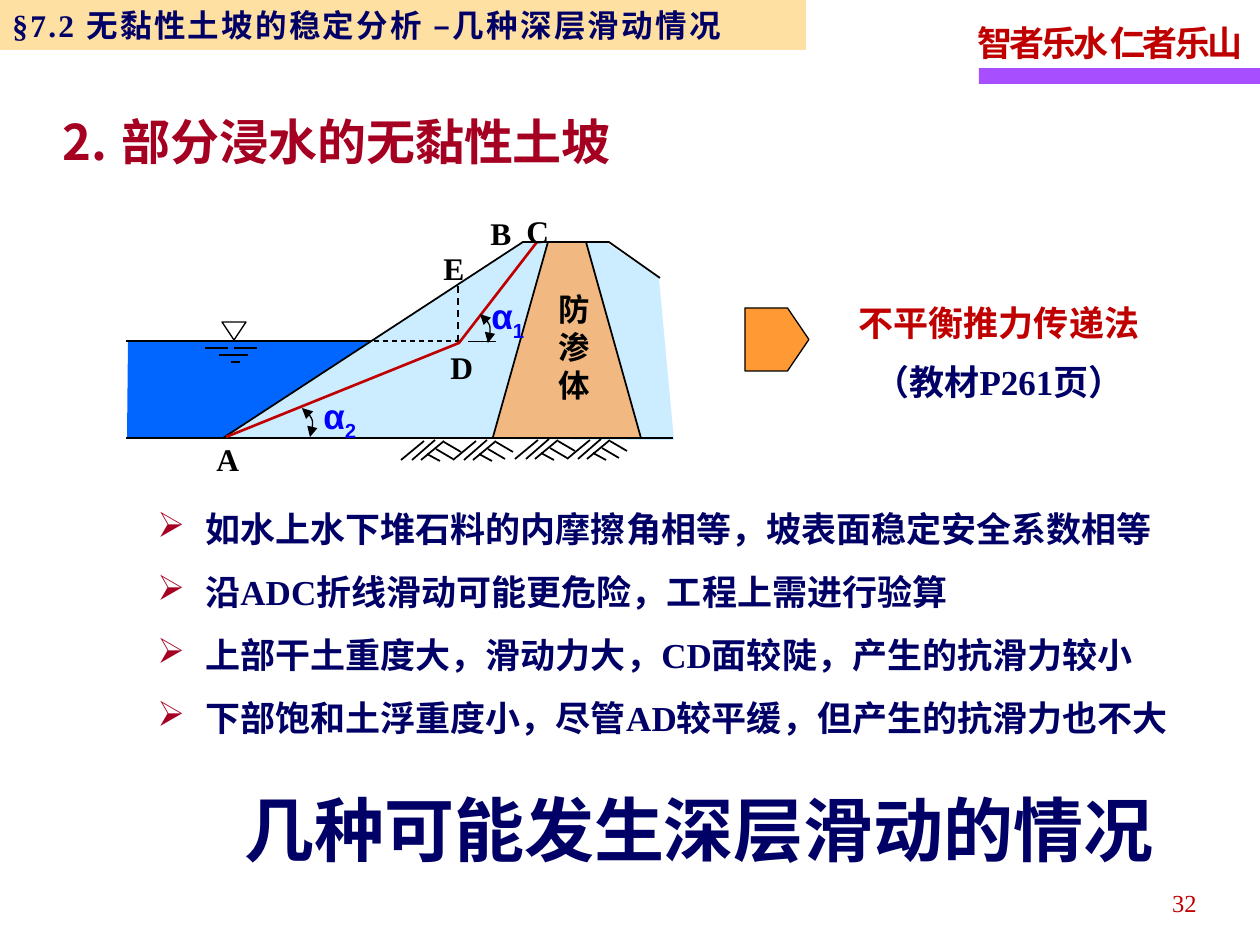
from dataclasses import dataclass

from lxml import etree
from pptx import Presentation
from pptx.dml.color import RGBColor
from pptx.enum import dml, shapes, text
from pptx.oxml.ns import qn
from pptx.util import Pt

PX = 914400 / 126  # EMU per px


@dataclass(frozen=True)
class Style:
    size: int
    color: str
    font: str = "Times New Roman"
    bold: bool = True
    tracking: float = 0


class Theme:
    cjk = "Noto Sans CJK SC"
    black, red, crimson, navy = "000000", "C00000", "A50021", "000066"
    purple, orange, bar = "A74FFF", "FF9933", "FFCC66"
    water, soil, core = "0066FF", "CCECFF", "F1B981"
    header = Style(18, navy, tracking=1.3)
    motto = Style(20, red, tracking=-1.7)
    heading = Style(28, crimson, cjk)
    banner = Style(40, navy, cjk)
    body = Style(20, navy)
    method = Style(20, red)
    point = Style(18, black)
    core_label = Style(18, black, cjk)
    angle = Style(20, "0000FF", "Arial")
    page = Style(14, red, bold=False)


def emu(*lengths):
    return [round(length * PX) for length in lengths]


def style_paragraph(paragraph, style):
    font = paragraph.font
    font.size, font.bold, font.name = Pt(style.size), style.bold, style.font
    font.color.rgb = RGBColor.from_string(style.color)
    defaults = paragraph._p.pPr.find(qn("a:defRPr"))
    etree.SubElement(defaults, qn("a:ea"), typeface=Theme.cjk)
    if style.tracking:
        defaults.set("spc", str(round(style.tracking * 100)))


def add_bullet(paragraph, hanging, tag, color=None, **attributes):
    props = paragraph._p.get_or_add_pPr()
    indent, = emu(hanging)
    props.set("marL", str(indent))
    props.set("indent", str(-indent))
    if color:
        holder = etree.SubElement(props, qn("a:buClr"))
        etree.SubElement(holder, qn("a:srgbClr"), val=color)
    etree.SubElement(props, qn(tag), **attributes)


def add_text(slide, box, lines, wrap=True, align=text.PP_ALIGN.LEFT, spacing=1.15,
             gap=3, anchor=text.MSO_ANCHOR.TOP, bullet=None):
    """Lines are (words, style) pairs, one paragraph each."""
    frame = slide.shapes.add_textbox(*emu(*box)).text_frame
    frame.word_wrap, frame.vertical_anchor = wrap, anchor
    for i, (words, style) in enumerate(lines):
        paragraph = frame.add_paragraph() if i else frame.paragraphs[0]
        paragraph.text, paragraph.alignment = words, align
        paragraph.line_spacing = spacing
        paragraph.space_before, paragraph.space_after = Pt(gap if i else 0), Pt(gap)
        if bullet:
            add_bullet(paragraph, 48, "a:buChar", Theme.crimson, char=bullet)
        style_paragraph(paragraph, style)
    return frame


def paint(shape, fill=None, line=None, width=1):
    shape.shadow.inherit = False
    if fill:
        shape.fill.solid()
        shape.fill.fore_color.rgb = RGBColor.from_string(fill)
    else:
        shape.fill.background()
    if line:
        shape.line.color.rgb = RGBColor.from_string(line)
        shape.line.width = Pt(width)
    else:
        shape.line.fill.background()
    return shape


def add_preset(slide, kind, box, **look):
    return paint(slide.shapes.add_shape(kind, *emu(*box)), **look)


def add_outline(slide, points, close=False, **look):
    builder = slide.shapes.build_freeform(*points[0], scale=PX)
    builder.add_line_segments(points[1:], close=close)
    return paint(builder.convert_to_shape(), **look)


def add_line(slide, x1, y1, x2, y2, width=1, dashed=False):
    line = slide.shapes.add_connector(shapes.MSO_CONNECTOR.STRAIGHT, *emu(x1, y1, x2, y2))
    line.line.color.rgb = RGBColor.from_string(Theme.black)
    line.line.width = Pt(width)
    if dashed:
        line.line.dash_style = dml.MSO_LINE.DASH
    etree.SubElement(line._element.spPr, qn("a:effectLst"))


def add_angle(slide, curve, label_box, index):
    # Turn the control polygon into one Bezier curve with two arrowheads
    arc = add_outline(slide, curve, line=Theme.black, width=0.75)
    path = arc._element.spPr.find(".//" + qn("a:path"))
    bezier = etree.SubElement(path, qn("a:cubicBezTo"))
    for segment in path.findall(qn("a:lnTo")):
        bezier.append(segment[0])
        path.remove(segment)
    for end in ("a:headEnd", "a:tailEnd"):
        etree.SubElement(arc.line._get_or_add_ln(), qn(end), type="triangle")
    frame = add_text(slide, label_box, [("α", Theme.angle)])
    subscript = frame.paragraphs[0].add_run()
    subscript.text = index
    subscript._r.get_or_add_rPr().set("baseline", "-25000")


def add_hatching(slide, x, y):
    for x1, y1, x2, y2 in [(23, 1, 0, 20), (34, 0, 11, 20), (43, 1, 20, 20),
                           (35, 9, 52, 19), (26, 14, 39, 21), (43, 2, 60, 12)]:
        add_line(slide, x + x1, y + y1, x + x2, y + y2)


def add_frame(slide):
    # Top bar, motto, heading, banner and page number
    add_preset(slide, shapes.MSO_SHAPE.RECTANGLE, (979, 68, 281, 16), fill=Theme.purple)
    add_text(slide, (965, 9, 297, 62), [("智者乐水 仁者乐山", Theme.motto)], wrap=False)
    bar = add_preset(slide, shapes.MSO_SHAPE.RECTANGLE, (0, 0, 806, 50), fill=Theme.bar)
    color = bar._element.spPr.find(".//" + qn("a:srgbClr"))
    etree.SubElement(color, qn("a:alpha"), val="60000")
    header = bar.text_frame.paragraphs[0]
    header.text, header.alignment = "§7.2 无黏性土坡的稳定分析 –几种深层滑动情况", text.PP_ALIGN.LEFT
    style_paragraph(header, Theme.header)

    title = slide.shapes.title
    title.left, title.top, title.width, title.height = emu(50, 105, 659, 72)
    frame = title.text_frame
    frame.text, frame.word_wrap = "部分浸水的无黏性土坡", True
    frame.auto_size, frame.vertical_anchor = text.MSO_AUTO_SIZE.NONE, text.MSO_ANCHOR.MIDDLE
    heading = frame.paragraphs[0]
    heading.alignment = text.PP_ALIGN.LEFT
    add_bullet(heading, 59, "a:buAutoNum", type="arabicPeriod", startAt="2")
    style_paragraph(heading, Theme.heading)

    add_text(slide, (227, 780, 944, 97), [("几种可能发生深层滑动的情况", Theme.banner)],
             align=text.PP_ALIGN.CENTER, spacing=1, gap=0, anchor=text.MSO_ANCHOR.MIDDLE)
    add_text(slide, (915, 877, 294, 50), [("32", Theme.page)], align=text.PP_ALIGN.RIGHT)


def add_dam(slide):
    # Water, soil and core areas
    add_outline(slide, [(127, 438), (128, 341), (372, 341), (222, 438)], True, fill=Theme.water)
    add_outline(slide, [(223, 438), (674, 440), (659, 278), (607, 243), (524, 242)],
                True, fill=Theme.soil)
    add_outline(slide, [(493, 437), (547, 243), (587, 243), (641, 437)], True, fill=Theme.core)
    # Water level and its mark
    add_line(slide, 372, 341, 126, 341)
    mark = add_preset(slide, shapes.MSO_SHAPE.ISOSCELES_TRIANGLE, (222, 322, 24, 18),
                      line=Theme.black, width=0.75)
    mark.rotation = 180
    for x1, x2, y in [(205, 228, 348), (234, 257, 348), (219, 248, 355), (231, 240, 362)]:
        add_line(slide, x1, y, x2, y, 0.75)
    # Ground
    add_line(slide, 126, 438, 673, 438, 1.5)
    for x, y in [(401, 440), (453, 440), (515, 439), (567, 439)]:
        add_hatching(slide, x, y)
    # Core sides, slope outline and slip surface
    add_line(slide, 548, 242, 493, 437)
    add_line(slide, 586, 242, 641, 438)
    add_line(slide, 460, 341, 372, 341, 0.75, dashed=True)
    add_outline(slide, [(223, 438), (523, 242), (609, 242), (660, 278)], line=Theme.black)
    add_outline(slide, [(226, 437), (459, 343), (537, 242)], line=Theme.red, width=1.5)
    add_line(slide, 458, 286, 458, 341, 1, dashed=True)
    add_line(slide, 468, 341, 496, 341, 0.5)
    # Angles
    add_angle(slide, [(302, 408), (312, 413), (315, 426), (310, 437)], (311, 381, 66, 62), "2")
    add_angle(slide, [(480, 314), (488, 318), (493, 330), (488, 343)], (479, 281, 66, 57), "1")
    # Labels
    add_text(slide, (546, 284, 58, 127), [(word, Theme.core_label) for word in "防渗体"],
             wrap=False, spacing=1, gap=0)
    for name, x, y in [("A", 204, 428), ("B", 478, 202), ("C", 514, 200),
                       ("D", 438, 336), ("E", 431, 237)]:
        add_text(slide, (x, y, 48, 55), [(name, Theme.point)], wrap=False)


def add_conclusions(slide):
    arrow = add_preset(slide, shapes.MSO_SHAPE.PENTAGON, (745, 308, 64, 63),
                       fill=Theme.orange, line=Theme.black, width=0.75)
    arrow.adjustments[0] = 0.34
    add_text(slide, (844, 289, 310, 123),
             [("不平衡推力传递法", Theme.method), ("（教材P261页）", Theme.body)],
             wrap=False, align=text.PP_ALIGN.CENTER)
    findings = ["如水上水下堆石料的内摩擦角相等，坡表面稳定安全系数相等",
                "沿ADC折线滑动可能更危险，工程上需进行验算",
                "上部干土重度大，滑动力大，CD面较陡，产生的抗滑力较小",
                "下部饱和土浮重度小，尽管AD较平缓，但产生的抗滑力也不大"]
    add_text(slide, (145, 491, 1061, 257), [(words, Theme.body) for words in findings],
             spacing=1.25, bullet="➢")


def main():
    deck = Presentation()
    deck.slide_width, deck.slide_height = emu(1260, 945)
    slide = deck.slides.add_slide(deck.slide_layouts[5])
    add_frame(slide)
    add_dam(slide)
    add_conclusions(slide)
    deck.save("out.pptx")


if __name__ == "__main__":
    main()
